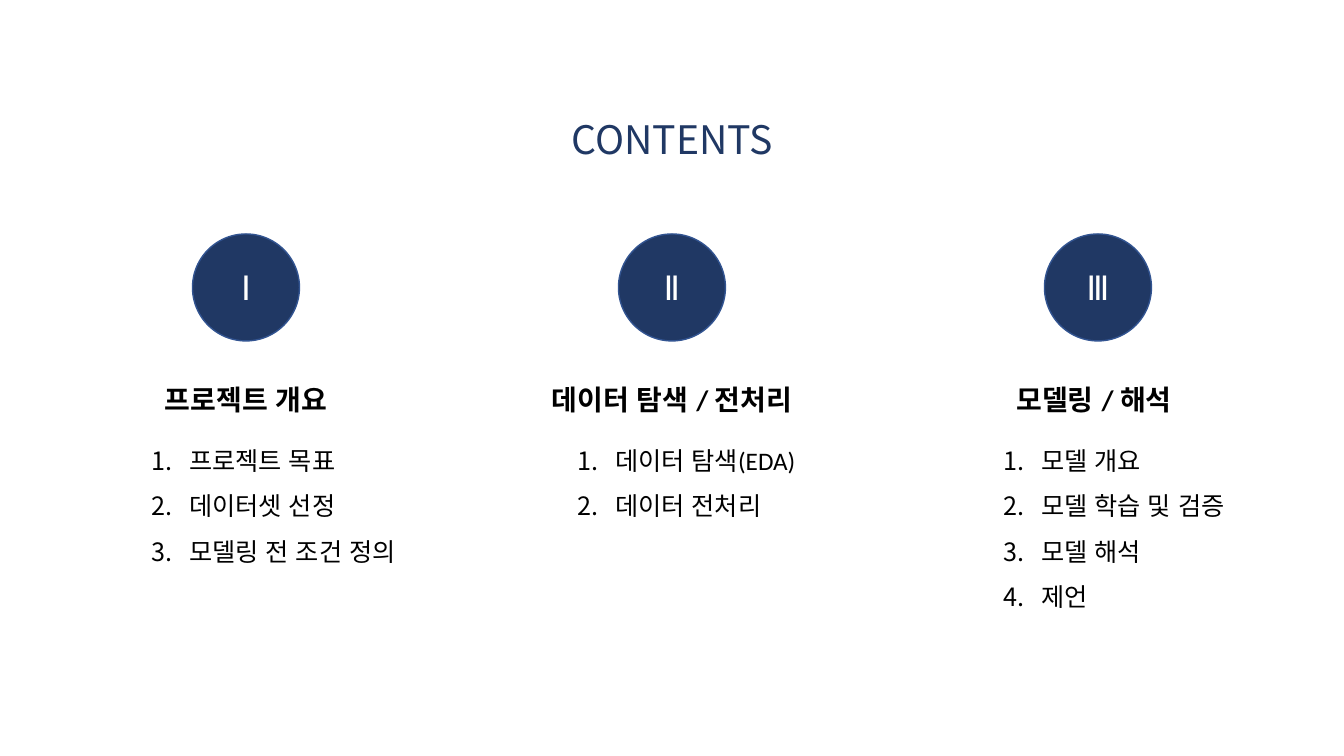
from lxml import etree
from pptx import Presentation
from pptx.dml.color import RGBColor
from pptx.enum.lang import MSO_LANGUAGE_ID
from pptx.enum.shapes import MSO_SHAPE
from pptx.enum.text import MSO_ANCHOR, MSO_AUTO_SIZE, PP_ALIGN
from pptx.oxml.ns import qn
from pptx.util import Emu, Pt

OVAL = MSO_SHAPE.OVAL
TOP, MIDDLE = MSO_ANCHOR.TOP, MSO_ANCHOR.MIDDLE
LEFT, CENTER = PP_ALIGN.LEFT, PP_ALIGN.CENTER
NO_FIT = MSO_AUTO_SIZE.NONE
KOREAN = MSO_LANGUAGE_ID.KOREAN
SANS, LATIN = "Noto Sans CJK KR", "Calibri"
COLORS = {"navy": "203864", "edge": "325491", "white": "FFFFFF", "black": "000000"}
SECTIONS = [
    ("Ⅰ", "프로젝트 개요", ["프로젝트 목표", "데이터셋 선정", "모델링 전 조건 정의"]),
    ("Ⅱ", "데이터 탐색 / 전처리", ["데이터 탐색(EDA)", "데이터 전처리"]),
    ("Ⅲ", "모델링 / 해석 ", ["모델 개요", "모델 학습 및 검증", "모델 해석", "제언"]),
]
FIRST_CENTER, PITCH = 246, 426
CIRCLE, COLUMN, INDENT = 107, 286, 38


def px(n):
    return Emu(round(n * 914400 / 100.8))


def write(sp, box, lines, size, color, font=LATIN, bold=False, align=CENTER, anchor=TOP, spacing=1.0):
    sp.left, sp.top, sp.width, sp.height = map(px, box)
    tf = sp.text_frame
    tf.word_wrap = True
    tf.auto_size = NO_FIT
    tf.vertical_anchor = anchor
    for i, line in enumerate(lines):
        p = tf.add_paragraph() if i else tf.paragraphs[0]
        p.alignment = align
        p.line_spacing = spacing
        p.space_before = Pt(0)
        r = p.add_run()
        r.text = line
        r.font.name = font
        r.font.size = Pt(size)
        r.font.bold = bold
        r.font.language_id = KOREAN
        r.font.color.rgb = RGBColor.from_string(COLORS[color])


prs = Presentation()
prs.slide_width, prs.slide_height = px(1344), px(756)
s = prs.slides.add_slide(prs.slide_layouts.get_by_name("Comparison"))
title, *bodies = s.placeholders
write(title, (0, 104, 1344, 70), ["CONTENTS"], 28, "navy", font=SANS, anchor=MIDDLE)

for i, (numeral, heading, items) in enumerate(SECTIONS):
    center = FIRST_CENTER + i * PITCH

    sp = s.shapes.add_shape(OVAL, 0, 0, 0, 0)
    sp.shadow.inherit = False
    sp.fill.solid()
    sp.fill.fore_color.rgb = RGBColor.from_string(COLORS["navy"])
    sp.line.color.rgb = RGBColor.from_string(COLORS["edge"])
    sp.line.width = Pt(1)
    write(sp, (center - CIRCLE / 2, 234, CIRCLE, CIRCLE), [numeral], 24, "white", anchor=MIDDLE)

    body = bodies[i]
    write(body, (center - 105, 425, COLUMN, 172), items, 18, "black", align=LEFT, spacing=1.5)
    for p in body.text_frame.paragraphs:
        pPr = p._p.get_or_add_pPr()
        pPr.set("marL", str(px(INDENT)))
        pPr.set("indent", str(px(-INDENT)))
        etree.SubElement(pPr, qn("a:buFont"), typeface=SANS)
        etree.SubElement(pPr, qn("a:buAutoNum"), type="arabicPeriod")

    sp = s.shapes.add_textbox(0, 0, 0, 0)
    write(sp, (center - COLUMN / 2, 361, COLUMN, 89), [heading], 20, "black", bold=True, spacing=1.5)

for body in bodies[len(SECTIONS):]:
    body.element.getparent().remove(body.element)

prs.save("out.pptx")
